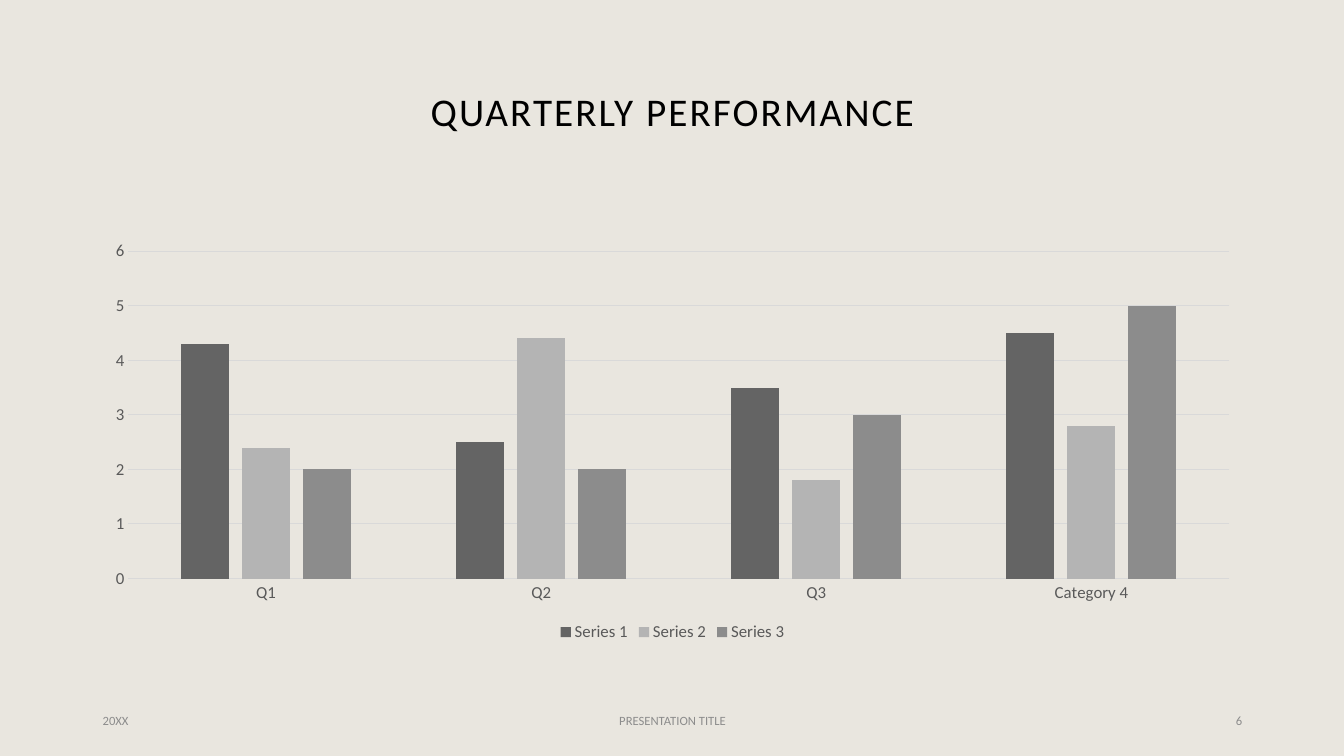
from pptx import Presentation
from pptx.chart.data import CategoryChartData
from pptx.dml.color import RGBColor
from pptx.enum.chart import XL_CHART_TYPE, XL_LEGEND_POSITION, XL_TICK_MARK
from pptx.enum.text import MSO_ANCHOR, PP_ALIGN
from pptx.util import Inches, Pt

FONT = "Calibri"
BACKGROUND, BLACK, GRAY = "E9E6DF", "000000", "8C8C8C"
LABEL, RULE = "595959", "D9D9D9"
WIDTH, HEIGHT = 13.33, 7.5
LEFT, CONTENT_W = 0.92, 11.5

CATEGORIES = ["Q1", "Q2", "Q3", "Category 4"]
SERIES = [
    ("Series 1", (4.3, 2.5, 3.5, 4.5), "646464"),
    ("Series 2", (2.4, 4.4, 1.8, 2.8), "B4B4B4"),
    ("Series 3", (2, 2, 3, 5), GRAY),
]


def rgb(value):
    return RGBColor.from_string(value)


def style_font(font, size, color):
    font.name = FONT
    font.size = Pt(size)
    font.bold = False
    font.color.rgb = rgb(color)


def style_line(line, color):
    line.color.rgb = rgb(color)
    line.width = Pt(0.75)


def add_text(slide, box, text, size, color, align):
    tf = slide.shapes.add_textbox(*map(Inches, box)).text_frame
    tf.word_wrap = True
    tf.vertical_anchor = MSO_ANCHOR.MIDDLE
    p = tf.paragraphs[0]
    p.text = text
    p.alignment = align
    style_font(p.runs[0].font, size, color)
    return p


def add_title(slide, box):
    p = add_text(slide, box, "QUARTERLY PERFORMANCE", 28, BLACK, PP_ALIGN.CENTER)
    p.line_spacing = 0.9
    # Letter spacing in hundredths of a point
    p.runs[0].font._element.set("spc", "150")


def add_performance_chart(slide, box):
    data = CategoryChartData()
    data.categories = CATEGORIES
    for name, values, _ in SERIES:
        data.add_series(name, values)
    chart = slide.shapes.add_chart(
        XL_CHART_TYPE.COLUMN_CLUSTERED, *map(Inches, box), data).chart
    chart.has_title = False
    style_font(chart.font, 10, BLACK)

    # Columns
    plot = chart.plots[0]
    plot.gap_width, plot.overlap = 219, -27
    plot.vary_by_categories = False
    for series, (_, _, color) in zip(plot.series, SERIES):
        series.format.fill.solid()
        series.format.fill.fore_color.rgb = rgb(color)

    # Axes
    for axis in (chart.category_axis, chart.value_axis):
        axis.major_tick_mark = axis.minor_tick_mark = XL_TICK_MARK.NONE
        style_font(axis.tick_labels.font, 12, LABEL)
    style_line(chart.category_axis.format.line, RULE)
    chart.value_axis.format.line.fill.background()
    chart.value_axis.has_major_gridlines = True
    style_line(chart.value_axis.major_gridlines.format.line, RULE)

    # Legend
    chart.has_legend = True
    chart.legend.position = XL_LEGEND_POSITION.BOTTOM
    chart.legend.include_in_layout = False
    style_font(chart.legend.font, 12, LABEL)


def add_footer(slide, box):
    left, top, width, height = box
    side, middle = 3, 4.5
    parts = [
        (left, side, "20XX", PP_ALIGN.LEFT),
        (left + (width - middle) / 2, middle, "PRESENTATION TITLE", PP_ALIGN.CENTER),
        (left + width - side, side, "6", PP_ALIGN.RIGHT),
    ]
    for x, w, text, align in parts:
        add_text(slide, (x, top, w, height), text, 9, GRAY, align)


def main():
    prs = Presentation()
    prs.slide_width, prs.slide_height = Inches(WIDTH), Inches(HEIGHT)
    slide = prs.slides.add_slide(prs.slide_layouts[6])
    slide.background.fill.solid()
    slide.background.fill.fore_color.rgb = rgb(BACKGROUND)

    add_title(slide, (LEFT, 0.4, CONTENT_W, 1.45))
    add_footer(slide, (LEFT, 6.95, CONTENT_W, 0.4))
    add_performance_chart(slide, (LEFT, 2.31, CONTENT_W, 4.1))
    prs.save("out.pptx")


if __name__ == "__main__":
    main()
